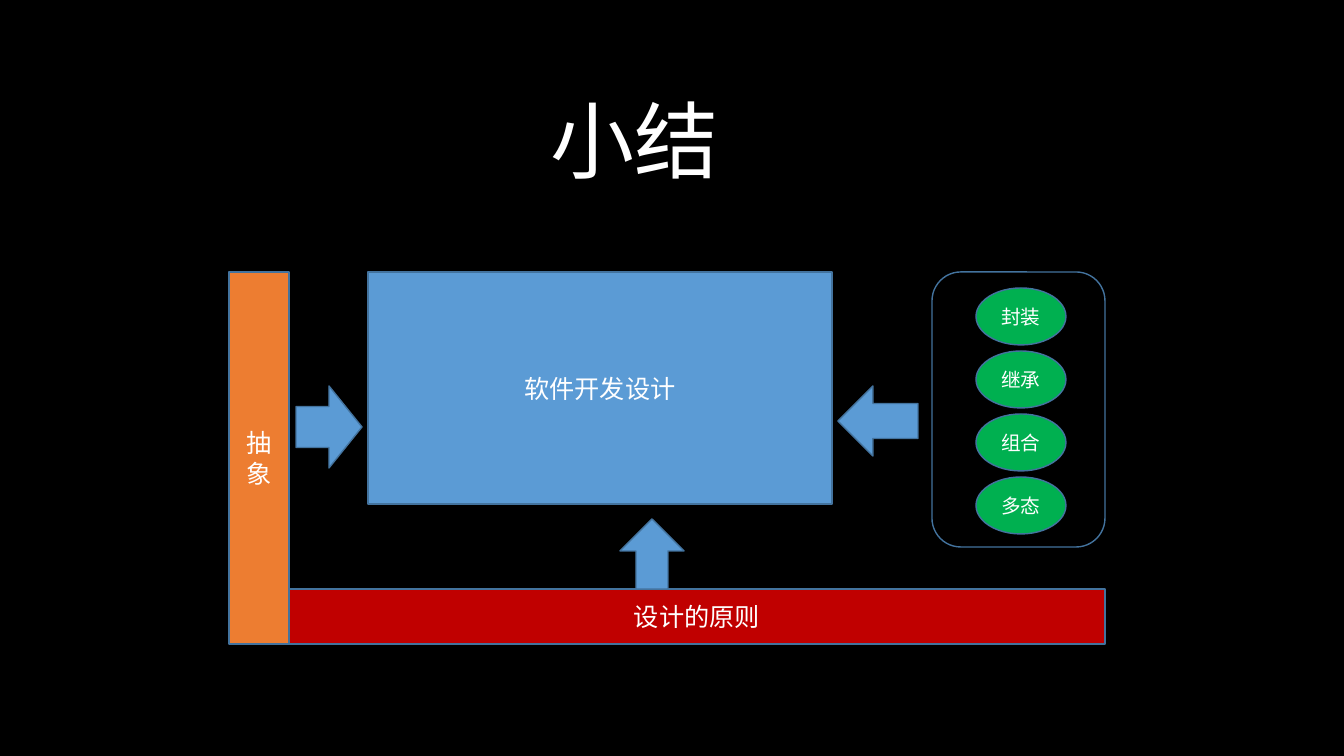
"""Build the summary slide on software design and the ideas that support it."""
import pptx
import pptx.dml.color
import pptx.enum.shapes
import pptx.enum.text
import pptx.util

EMU_PER_PX = 914400 / 100.8
FONT = "Calibri"
COLORS = {
    "background": "000000",
    "text": "FFFFFF",
    "outline": "43739E",
    "design": "5B9BD5",
    "abstraction": "ED7D31",
    "principles": "C00000",
    "concept": "00B050",
}
CONCEPTS = ["封装", "继承", "组合", "多态"]
CONCEPT_TOP = 288
CONCEPT_STEP = 63
SHAPES = pptx.enum.shapes.MSO_SHAPE
ANCHORS = pptx.enum.text.MSO_ANCHOR


def px(length):
    return pptx.util.Emu(round(length * EMU_PER_PX))


def color(name):
    return pptx.dml.color.RGBColor.from_string(COLORS[name])


def write_text(shape, text, size, anchor):
    frame = shape.text_frame
    frame.text = text
    frame.word_wrap = True
    frame.vertical_anchor = anchor
    paragraph = frame.paragraphs[0]
    paragraph.alignment = pptx.enum.text.PP_ALIGN.CENTER
    font = paragraph.runs[0].font
    font.name = FONT
    font.size = pptx.util.Pt(size)
    font.color.rgb = color("text")


def add_title(slide, text, box):
    title = slide.shapes.title
    title.left, title.top, title.width, title.height = map(px, box)
    write_text(title, text, 60, ANCHORS.TOP)
    title.text_frame.auto_size = pptx.enum.text.MSO_AUTO_SIZE.NONE


def add_block(slide, kind, box, fill=None, text=None, size=18):
    shape = slide.shapes.add_shape(kind, *map(px, box))
    shape.shadow.inherit = False
    if fill:
        shape.fill.solid()
        shape.fill.fore_color.rgb = color(fill)
    else:
        shape.fill.background()
    shape.line.color.rgb = color("outline")
    shape.line.width = pptx.util.Pt(1)
    if text:
        write_text(shape, text, size, ANCHORS.MIDDLE)


def add_concepts(slide):
    for index, concept in enumerate(CONCEPTS):
        box = (976, CONCEPT_TOP + index * CONCEPT_STEP, 90, 57)
        add_block(slide, SHAPES.OVAL, box, "concept", concept, 14)


def main():
    presentation = pptx.Presentation()
    presentation.slide_width = px(1344)
    presentation.slide_height = px(756)
    slide = presentation.slides.add_slide(presentation.slide_layouts[5])
    slide.background.fill.solid()
    slide.background.fill.fore_color.rgb = color("background")

    add_title(slide, "小结", (-34, 83, 1337, 112))
    add_block(slide, SHAPES.RECTANGLE, (229, 272, 60, 372), "abstraction", "抽象")
    add_block(slide, SHAPES.RECTANGLE, (289, 589, 816, 55), "principles", "设计的原则")
    add_block(slide, SHAPES.RECTANGLE, (368, 272, 464, 232), "design", "软件开发设计")
    add_concepts(slide)
    add_block(slide, SHAPES.RIGHT_ARROW, (296, 386, 66, 82), "design")
    add_block(slide, SHAPES.UP_ARROW, (620, 519, 64, 70), "design")
    add_block(slide, SHAPES.ROUNDED_RECTANGLE, (932, 272, 173, 275))
    add_block(slide, SHAPES.LEFT_ARROW, (838, 386, 80, 70), "design")

    presentation.save("out.pptx")


if __name__ == "__main__":
    main()
